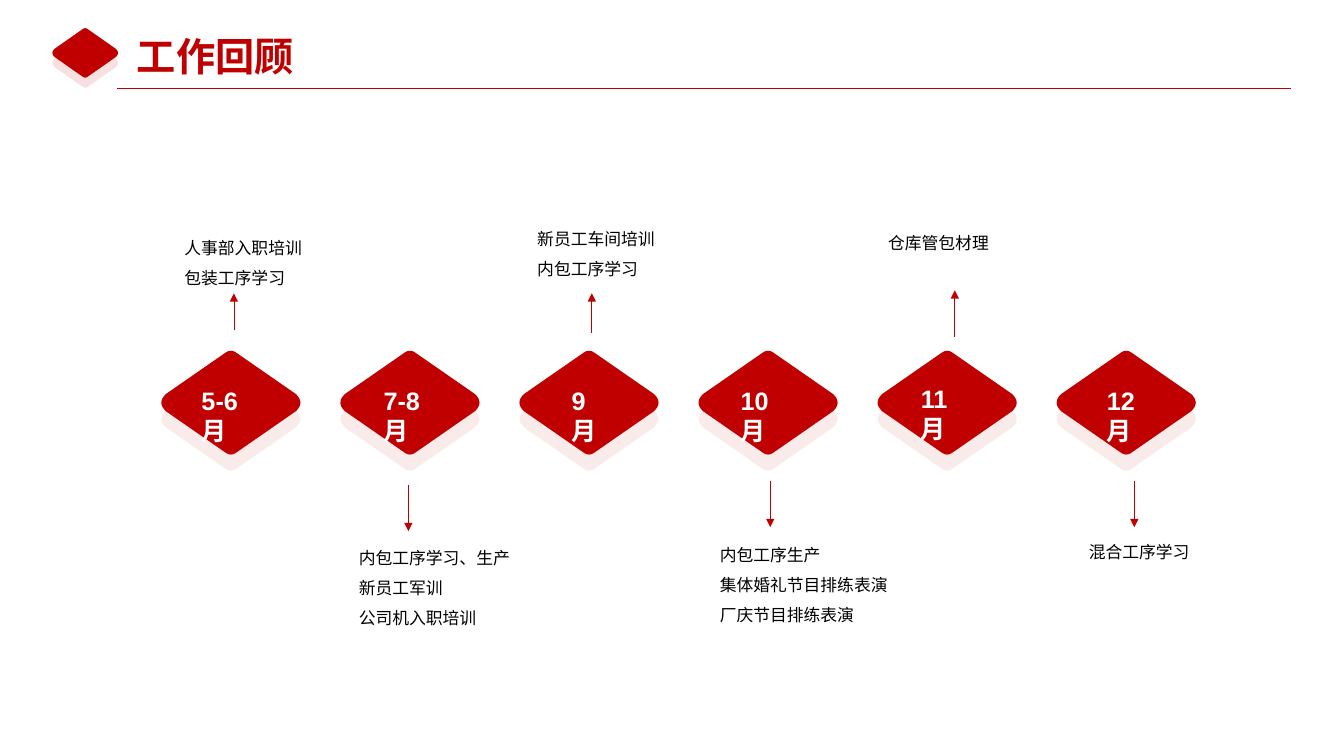
import pptx
import pptx.dml.color
import pptx.enum.shapes
import pptx.oxml
import pptx.oxml.ns
import pptx.util

Inches = pptx.util.Inches
RED = "C00000"
SANS = "Noto Sans CJK SC"
STEP = 1.776
STOPS = [
    ("5-6月", 0.3, 3.77, 0.82, (2.32, 3.27, 2.91), (1.73, 2.21, 1.31),
     ["人事部入职培训", "包装工序学习"]),
    ("7-8月", 0.33, 3.77, 0.82, (4.05, 4.81, 5.27), (3.46, 5.28, 1.61),
     ["内包工序学习、生产", "新员工军训", "公司机入职培训"]),
    ("9月", 0.42, 3.77, 0.59, (5.87, 3.3, 2.91), (5.23, 2.12, 0.58),
     ["新员工车间培训", "内包工序学习"]),
    ("10月", 0.32, 3.77, 0.73, (7.64, 4.77, 5.23), (7.04, 5.25, 1.01),
     ["内包工序生产", "集体婚礼节目排练表演", "厂庆节目排练表演"]),
    ("11月", 0.33, 3.75, 0.72, (9.47, 3.34, 2.88), (8.71, 2.16, 0.71),
     ["仓库管包材理"]),
    ("12月", 0.4, 3.77, 0.73, (11.25, 4.77, 5.23), (10.7, 5.23, 0.37),
     ["混合工序学习"]),
]


def color(code):
    return pptx.dml.color.RGBColor.from_string(code)


def add_tag(parent, name, **attrs):
    tag = pptx.oxml.parse_xml(f"<a:{name} {pptx.oxml.ns.nsdecls('a')}/>")
    for key, value in attrs.items():
        tag.set(key, value)
    parent.append(tag)


def add_text(slide, box, lines, size, font, code, bold=False, wrap=True, space=None):
    shape = slide.shapes.add_textbox(*map(Inches, box))
    frame = shape.text_frame
    frame.word_wrap = wrap
    for i, line in enumerate(lines):
        para = frame.paragraphs[0] if i == 0 else frame.add_paragraph()
        para.line_spacing = space
        run = para.add_run()
        run.text = line
        run.font.size = pptx.util.Pt(size)
        run.font.name = font
        run.font.bold = bold
        run.font.color.rgb = color(code)
    return frame


def add_line(slide, start, end, arrow=False):
    line = slide.shapes.add_connector(
        pptx.enum.shapes.MSO_CONNECTOR.STRAIGHT, *map(Inches, start + end))
    line.line.color.rgb = color(RED)
    line.line.width = pptx.util.Pt(0.5)
    if arrow:
        add_tag(line.line._get_or_add_ln(), "tailEnd", type="triangle")
    add_tag(line._element.spPr, "effectLst")


def round_tips():
    tips = [((-0.08, -0.96), (0, -1.04), (0.08, -0.96)),
            ((0.935, -0.165), (1.065, 0), (0.935, 0.165))]
    tips += [tuple((-x, -y) for x, y in tip) for tip in tips]
    for first, mid, last in tips:
        for i in range(9):
            t = i / 8
            yield tuple((1 - t) ** 2 * a + 2 * t * (1 - t) * b + t * t * c
                        for a, b, c in zip(first, mid, last))


def add_gem(slide, box, alpha=None):
    left, top, width, height = box
    points = [(Inches(left + width * (1 + x) / 2), Inches(top + height * (1 + y) / 2))
              for x, y in round_tips()]
    path = slide.shapes.build_freeform(*points[0])
    path.add_line_segments(points[1:])
    gem = path.convert_to_shape()
    gem.shadow.inherit = False
    gem.fill.solid()
    gem.fill.fore_color.rgb = color(RED)
    gem.line.fill.background()
    if alpha:
        tint = gem._element.spPr.find(".//" + pptx.oxml.ns.qn("a:srgbClr"))
        add_tag(tint, "alpha", val=str(alpha * 1000))


def add_pair(slide, box, drop, alpha):
    left, top, width, height = box
    add_gem(slide, (left, top + drop, width, height), alpha)
    add_gem(slide, box)


def add_head(slide, box):
    left, top, width, height = box
    add_pair(slide, (left, top + 0.01, 0.65, 0.49), 0.1, 12)
    add_line(slide, (left + 0.64, top + 0.61), (left + width, top + 0.61), False)
    add_text(slide, (left + 0.74, top, 1.77, height), ["工作回顾"],
             28, "Arial", RED, bold=True, wrap=False)


def add_stop(slide, box, stop):
    left, top, width, height = box
    month, inset, label_top, label_width, arrow, note, lines = stop
    add_pair(slide, box, 0.16, 8)
    frame = add_text(slide, (left + inset, label_top, label_width, 0.4), [month],
                     18, "Arial", "FFFFFF", bold=True)
    frame.margin_right = Inches(label_width - 0.47)
    x, start, end = arrow
    add_line(slide, (x, start), (x, end), True)
    note_left, note_top, note_height = note
    add_text(slide, (note_left, note_top, 2.32, note_height), lines,
             12, SANS, "000000", space=1.5)


def main():
    deck = pptx.Presentation()
    deck.slide_width = Inches(13.33)
    deck.slide_height = Inches(7.5)
    slide = deck.slides.add_slide(deck.slide_layouts[6])
    add_head(slide, (0.52, 0.27, 12.28, 0.57))
    for i, stop in enumerate(STOPS):
        add_stop(slide, (1.6 + i * STEP, 3.48, 1.38, 1.03), stop)
    deck.save("out.pptx")


if __name__ == "__main__":
    main()
